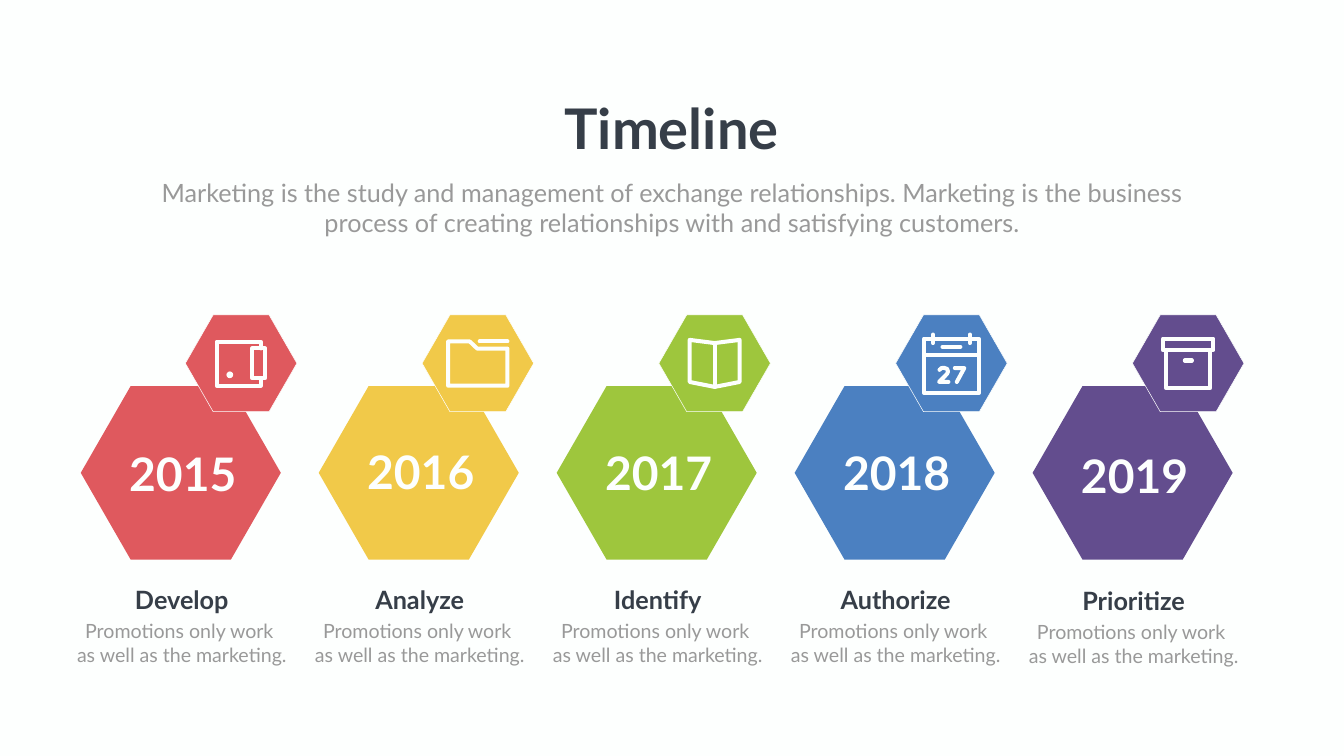
"""Build a five-year timeline slide with hexagons, line icons and captions."""
import pptx
import pptx.dml.color
import pptx.enum.shapes
import pptx.enum.text
import pptx.oxml
import pptx.oxml.ns
import pptx.util

Cm, Pt = pptx.util.Cm, pptx.util.Pt
SHAPES = pptx.enum.shapes.MSO_SHAPE

FONT = "Lato"
PAPER, INK, GREY = "FDFFFE", "363E48", "999999"
TITLE = "Timeline"
INTRO = ("Marketing is the study and management of exchange relationships. "
         "Marketing is the business process of creating relationships with "
         "and satisfying customers.")
CAPTION = ["Promotions only work ", "as well as the marketing."]


def frame(left, top, right, bottom):
    """Return the closed outline of a rectangle."""
    return [(left, top), (right, top), (right, bottom), (left, bottom), (left, top)]


WALLET = [
    [(0.99, -0.75), (0.99, -1.09), (-1.23, -1.09), (-1.23, 1.13), (0.99, 1.13), (0.99, 0.75)],
    frame(0.56, -0.75, 1.21, 0.75),
]
FOLDER = [
    [(-1.5, -1.1), (-0.41, -1.1), (-0.03, -0.74), (1.49, -0.74),
     (1.49, 1.13), (-1.5, 1.13), (-1.5, -1.1)],
    [(0.09, -1.1), (1.49, -1.1)],
]
BOOK = [
    [(-1.26, -1.18), (0, -1.02), (1.26, -1.18), (1.26, 0.94),
     (0, 1.19), (-1.26, 0.94), (-1.26, -1.18)],
    [(0, -1.02), (0, 1.19)],
]
CALENDAR = [
    frame(-1.38, -1.24, 1.38, 1.5),
    [(-1.38, -0.42), (1.38, -0.42)],
    [(-0.93, -1.45), (-0.93, -1.02)],
    [(0.93, -1.45), (0.93, -1.02)],
    [(-0.45, -0.83), (0.45, -0.83)],
    [(-0.6, 0.33), (-0.5, 0.24), (-0.37, 0.23), (-0.22, 0.28), (-0.17, 0.41),
     (-0.22, 0.53), (-0.62, 0.94), (-0.15, 0.94)],
    [(0.17, 0.24), (0.65, 0.24), (0.27, 0.94)],
]
ARCHIVE = [
    frame(-1.27, -1.24, 1.27, -0.66),
    frame(-1.1, -0.66, 1.1, 1.26),
    [(-0.17, -0.14), (0.19, -0.14)],
]

STEPS = [
    {"year": "2015", "name": "Develop", "fill": "DF595E", "icon": WALLET, "year_top": 22.33, "drop": 0},
    {"year": "2016", "name": "Analyze", "fill": "F1C949", "icon": FOLDER, "year_top": 22.23, "drop": 0},
    {"year": "2017", "name": "Identify", "fill": "9EC63D", "icon": BOOK, "year_top": 22.28, "drop": 0},
    {"year": "2018", "name": "Authorize", "fill": "4B80C1", "icon": CALENDAR, "year_top": 22.28, "drop": 0},
    {"year": "2019", "name": "Prioritize", "fill": "634D8E", "icon": ARCHIVE, "year_top": 22.4, "drop": 0.05},
]
YEAR_X, YEAR_STEP, YEAR_Y = 9.11, 11.99, 23.83
BADGE_X, BADGE_STEP, BADGE_Y = 12.15, 11.93, 18.31


def colour(code):
    """Turn a hex string into a colour."""
    return pptx.dml.color.RGBColor.from_string(code)


def write(box, lines, size, code, bold=False, wrap=True):
    """Fill a box with centred lines of one style."""
    text = box.text_frame
    text.word_wrap = wrap
    text.auto_size = pptx.enum.text.MSO_AUTO_SIZE.NONE
    text.vertical_anchor = pptx.enum.text.MSO_ANCHOR.TOP
    for index, line in enumerate(lines):
        para = text.add_paragraph() if index else text.paragraphs[0]
        para.alignment = pptx.enum.text.PP_ALIGN.CENTER
        span = para.add_run()
        span.text = line
        span.font.name = FONT
        span.font.size = Pt(size)
        span.font.bold = bold
        span.font.color.rgb = colour(code)


def add_label(page, centre, top, width, height, *style):
    """Add a text box centred on a column."""
    box = page.shapes.add_textbox(Cm(centre - width / 2), Cm(top), Cm(width), Cm(height))
    write(box, *style)


def add_solid(page, kind, x, y, width, height, code):
    """Add a filled preset shape around a centre point."""
    shape = page.shapes.add_shape(
        kind, Cm(x - width / 2), Cm(y - height / 2), Cm(width), Cm(height))
    shape.shadow.inherit = False
    shape.fill.solid()
    shape.fill.fore_color.rgb = colour(code)
    shape.line.fill.background()
    return shape


def add_hexagon(page, x, y, width, height, code):
    """Add a regular hexagon around a centre point."""
    shape = add_solid(page, SHAPES.HEXAGON, x, y, width, height, code)
    shape.adjustments[0] = 0.2875
    return shape


def add_icon(page, x, y, strokes):
    """Draw an icon from round-ended strokes around a centre point."""
    placed = [[(Cm(x + dx), Cm(y + dy)) for dx, dy in stroke] for stroke in strokes]
    builder = page.shapes.build_freeform(*placed[0][0])
    for index, stroke in enumerate(placed):
        if index:
            builder.move_to(*stroke[0])
        builder.add_line_segments(stroke[1:], close=False)
    icon = builder.convert_to_shape()
    icon.shadow.inherit = False
    icon.fill.background()
    icon.line.width = Pt(5.75)
    icon.line.color.rgb = colour(PAPER)
    outline = icon.element.spPr.find(pptx.oxml.ns.qn("a:ln"))
    outline.set("cap", "rnd")
    outline.append(pptx.oxml.parse_xml("<a:round %s/>" % pptx.oxml.ns.nsdecls("a")))


def add_step(page, index, step):
    """Add one year with its badge, icon and caption."""
    x = YEAR_X + index * YEAR_STEP
    badge_x = BADGE_X + index * BADGE_STEP
    add_hexagon(page, x, YEAR_Y, 10.08, 8.74, step["fill"])
    badge = add_hexagon(page, badge_x, BADGE_Y, 5.62, 4.88, step["fill"])
    badge.line.color.rgb = colour(PAPER)
    badge.line.width = Pt(0.75)
    add_icon(page, badge_x, BADGE_Y, step["icon"])
    if step["icon"] is WALLET:
        add_solid(page, SHAPES.OVAL, badge_x - 0.57, BADGE_Y + 0.58, 0.34, 0.34, PAPER)
    add_label(page, x + 0.1, step["year_top"], 9.25, 3.07, [step["year"]], 66, PAPER, True)
    add_label(page, x + 0.05, 29.31 + step["drop"], 6.63, 1.8, [step["name"]], 36, INK, True)
    add_label(page, x + 0.05, 31.09 + step["drop"], 12.55, 2.64, CAPTION, 28, GREY)


def main():
    """Build and save the deck."""
    deck = pptx.Presentation()
    deck.slide_width, deck.slide_height = Cm(67.72), Cm(38.1)
    page = deck.slides.add_slide(deck.slide_layouts[5])
    page.background.fill.solid()
    page.background.fill.fore_color.rgb = colour(PAPER)
    title = page.shapes.title
    title.left, title.top, title.width, title.height = Cm(28.09), Cm(4.57), Cm(11.5), Cm(3.68)
    write(title, [TITLE], 80, INK, True, False)
    add_label(page, 33.86, 8.79, 54.1, 3.33, [INTRO], 36, GREY)
    for index, step in enumerate(STEPS):
        add_step(page, index, step)
    deck.save("out.pptx")


if __name__ == "__main__":
    main()
